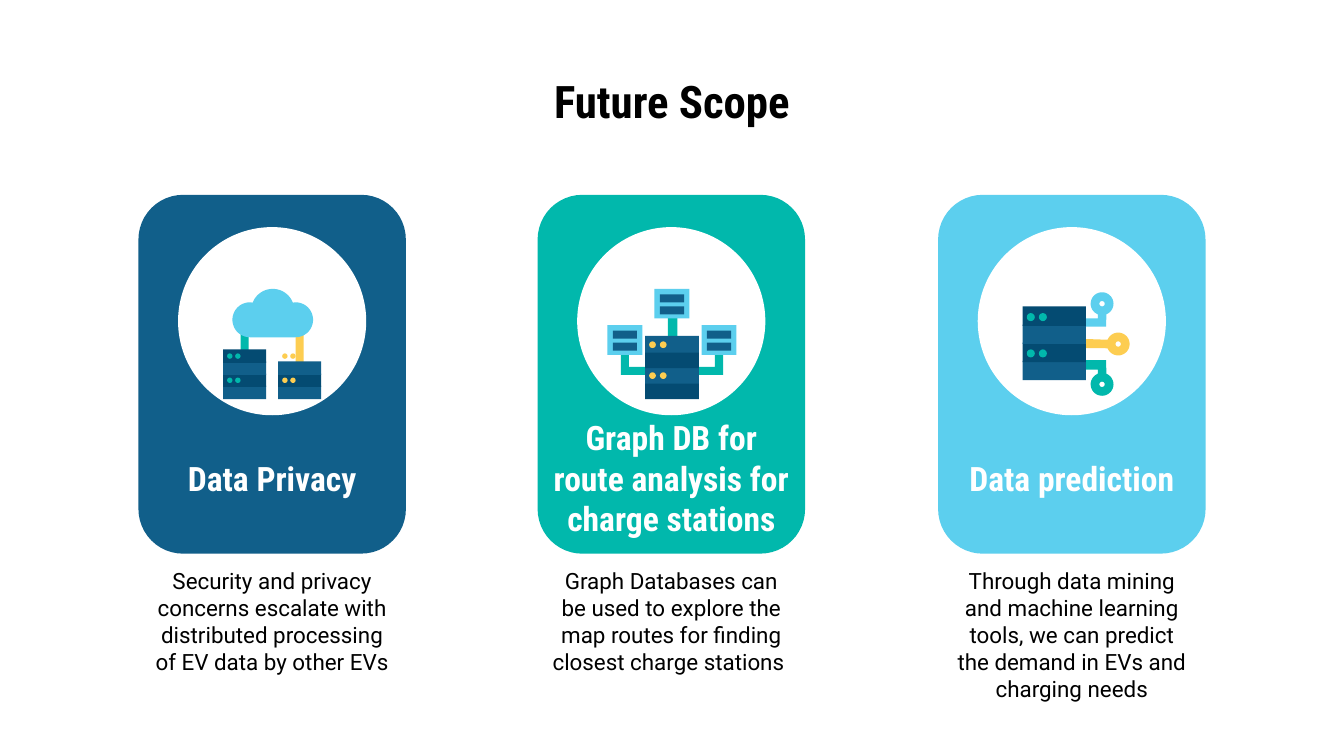
"""Build the "Future Scope" slide: three cards, each with a data icon."""
from dataclasses import dataclass
from math import cos, radians, sin

from pptx import Presentation
from pptx import util as u
from pptx.dml.color import RGBColor
from pptx.enum import shapes, text

PX = u.Inches(1) // 100
COLOURS = {
    "white": "FFFFFF",
    "black": "000000",
    "navy": "044B72",
    "blue": "115F8A",
    "teal": "01B8AC",
    "sky": "5CCFEE",
    "yellow": "FDCD51",
}
KIND = shapes.MSO_SHAPE
ANCHOR = text.MSO_ANCHOR
Points = list[tuple[float, float]]


@dataclass
class Card:
    heading: str
    caption: str
    colour: str


@dataclass
class Server:
    left: int
    top: int
    width: int
    height: int
    rows: tuple[str, ...]
    light: str
    light_size: int
    light_step: int
    light_tops: tuple[int, int]


@dataclass
class Node:
    x: int
    y: int
    gap_angle: int
    pipe: Points
    colour: str


CARDS = [
    Card("Data Privacy", "Security and privacy concerns escalate with distributed "
         "processing of EV data by other EVs", "blue"),
    Card("Graph DB for route analysis for charge stations", "Graph Databases can be used to "
         "explore the map routes for finding closest charge stations ", "teal"),
    Card("Data prediction", "Through data mining and machine learning tools, we can predict "
         "the demand in EVs and charging needs", "sky"),
]
GRAPH_SERVER = Server(480, 250, 40, 47, ("blue", "navy") * 2, "yellow", 5, 8, (254, 277))
CLOUD_SERVERS = [
    Server(166, 260, 32, 37, ("navy", "blue") * 2, "teal", 4, 6, (263, 281)),
    Server(207, 269, 32, 28, ("blue", "navy", "blue"), "yellow", 4, 6, (263, 281)),
]
MINING_SERVER = Server(761, 228, 47, 55, ("navy", "blue") * 2, "teal", 6, 9, (233, 260))
MONITORS = [(522, 242), (452, 242), (487, 215)]
NODES = [
    Node(832, 256, 180, [(800, 259), (800, 252)], "yellow"),
    Node(820, 226, 90, [(823, 243), (802, 243), (802, 237), (817, 237)], "sky"),
    Node(820, 286, 270, [(817, 275), (802, 275), (802, 268), (823, 268)], "teal"),
]


def rgb(colour: str) -> RGBColor:
    return RGBColor.from_string(COLOURS[colour])


def paint(shape, colour: str) -> None:
    shape.shadow.inherit = False
    shape.fill.solid()
    shape.fill.fore_color.rgb = rgb(colour)
    shape.line.fill.background()


def draw_shape(page, kind, left: float, top: float, width: float, height: float, colour: str):
    shape = page.shapes.add_shape(kind, *(round(n * PX) for n in (left, top, width, height)))
    paint(shape, colour)
    return shape


def draw_outline(page, contours: list[Points], colour: str) -> None:
    scaled = [[(x * PX, y * PX) for x, y in contour] for contour in contours]
    builder = page.shapes.build_freeform(*scaled[0][0], scale=1.0)
    for index, contour in enumerate(scaled):
        if index:
            builder.move_to(*contour[0])
        builder.add_line_segments(contour[1:], close=True)
    paint(builder.convert_to_shape(), colour)


def arc(x: float, y: float, radius: float, start: int, end: int) -> Points:
    angles = [radians(start + (end - start) * step / 32) for step in range(33)]
    return [(x + radius * cos(angle), y + radius * sin(angle)) for angle in angles]


def draw_text(page, words: str, left: int, top: int, width: int, height: int, font: str,
              size: int, colour: str, bold: bool = False, anchor=ANCHOR.TOP) -> None:
    box = page.shapes.add_textbox(left * PX, top * PX, width * PX, height * PX)
    frame = box.text_frame
    frame.word_wrap = True
    frame.vertical_anchor = anchor
    frame.margin_left = frame.margin_right = frame.margin_top = frame.margin_bottom = 10 * PX
    para = frame.paragraphs[0]
    para.text = words
    para.alignment = text.PP_ALIGN.CENTER
    para.font.name, para.font.size, para.font.bold = font, u.Pt(size), bold
    para.font.color.rgb = rgb(colour)


def draw_card(page, card: Card, left: int) -> None:
    panel = draw_shape(page, KIND.ROUNDED_RECTANGLE, left, 145, 199, 267, card.colour)
    panel.adjustments[0] = 0.167
    draw_shape(page, KIND.OVAL, left + 29.5, 169, 140, 140, "white")
    draw_text(page, card.heading, left, 324, 199, 63, "Roboto Condensed", 18, "white", True,
              ANCHOR.MIDDLE)
    draw_text(page, card.caption, left, 412, 199, 79, "Roboto", 12, "black")


def draw_server(page, server: Server) -> None:
    pitch = (server.height - 1) / len(server.rows)
    for row, colour in reversed(list(enumerate(server.rows))):
        draw_shape(page, KIND.RECTANGLE, server.left, server.top + row * pitch,
                   server.width, pitch + 1, colour)
    for top in server.light_tops:
        for column in range(2):
            draw_shape(page, KIND.OVAL, server.left + 3 + column * server.light_step, top,
                       server.light_size, server.light_size, server.light)


def draw_monitor(page, left: int, top: int) -> None:
    draw_shape(page, KIND.RECTANGLE, left, top, 26, 22, "sky")
    for offset in (4, 13):
        draw_shape(page, KIND.RECTANGLE, left + 4, top + offset, 18, 6, "blue")


def draw_node(page, node: Node) -> None:
    ring = arc(node.x, node.y, 8.5, node.gap_angle + 22, node.gap_angle + 338)
    hole = arc(node.x, node.y, 2, 360, 0)
    draw_outline(page, [ring + node.pipe, hole], node.colour)


def draw_graph_icon(page) -> None:
    draw_shape(page, KIND.RECTANGLE, 497, 231, 7, 27, "teal")
    elbow = [(532, 259), (532, 273), (514, 273), (514, 279), (538, 279), (538, 259)]
    draw_outline(page, [elbow], "teal")
    draw_outline(page, [[(1000 - x, y) for x, y in elbow]], "teal")
    for left, top in MONITORS:
        draw_monitor(page, left, top)
    draw_server(page, GRAPH_SERVER)


def draw_cloud_icon(page) -> None:
    right_pipe = [(203, 247), (220, 247), (220, 270), (226, 270), (226, 241), (203, 241)]
    draw_outline(page, [[(405 - x, y) for x, y in right_pipe]], "teal")
    draw_outline(page, [right_pipe], "yellow")
    cloud = arc(186, 238, 13, 90, 270) + arc(203, 231, 16, 201, 339) + arc(220, 238, 13, 270, 450)
    draw_outline(page, [cloud], "sky")
    for server in CLOUD_SERVERS:
        draw_server(page, server)


def draw_mining_icon(page) -> None:
    for node in NODES:
        draw_node(page, node)
    draw_server(page, MINING_SERVER)


def main() -> None:
    deck = Presentation()
    deck.slide_width = 1000 * PX
    deck.slide_height = deck.slide_width * 9 // 16
    page = deck.slides.add_slide(deck.slide_layouts[6])
    draw_text(page, "Future Scope", 50, 45, 900, 63, "Roboto Condensed", 24, "black", True)
    for index, card in enumerate(CARDS):
        draw_card(page, card, 103 + index * 595 // 2)
    draw_graph_icon(page)
    draw_cloud_icon(page)
    draw_mining_icon(page)
    deck.save("out.pptx")


if __name__ == "__main__":
    main()
